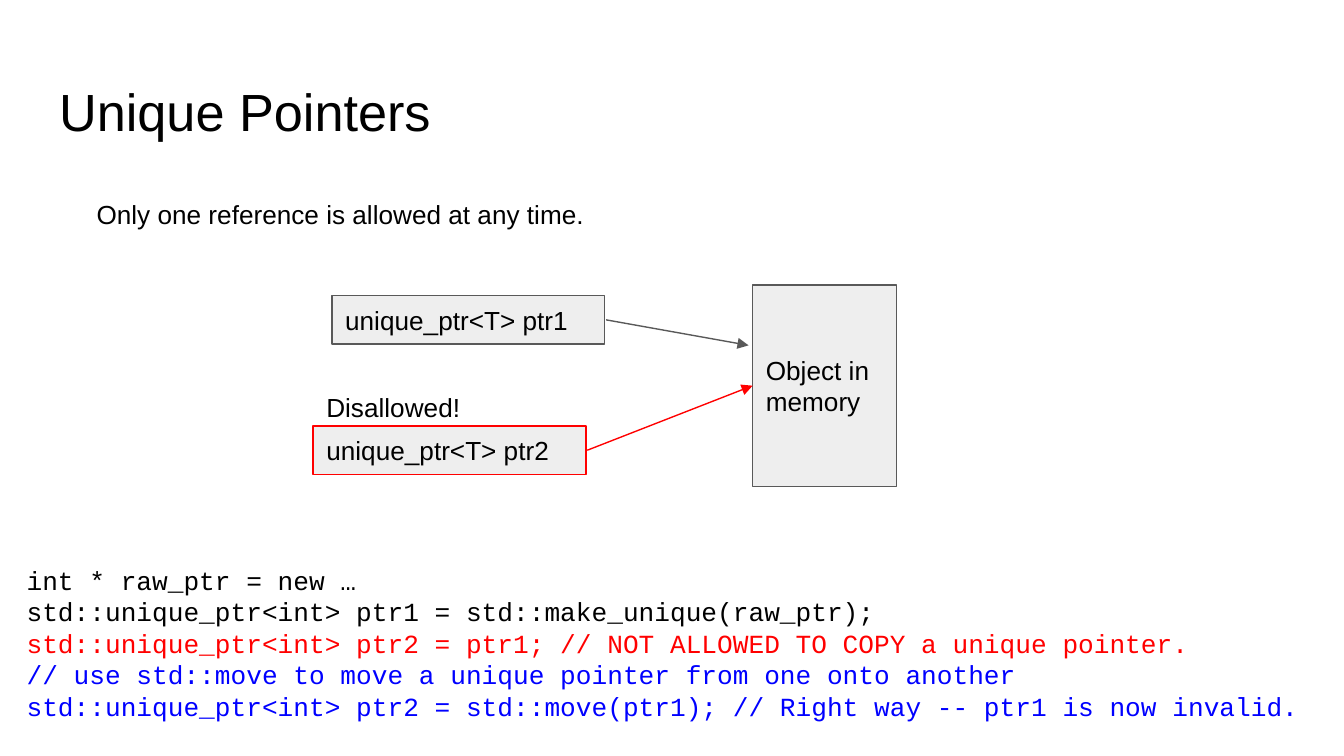
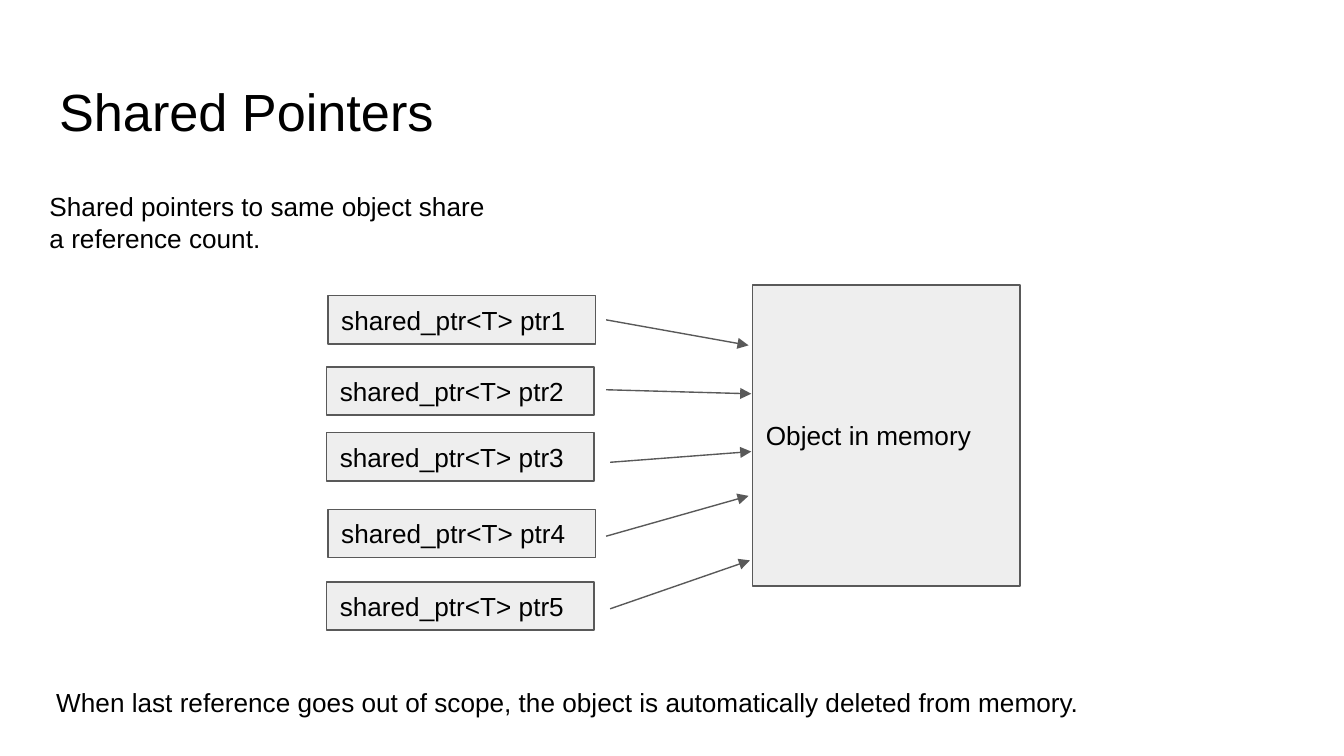
"""Build two slides that explain unique and shared pointers."""
from dataclasses import dataclass

from lxml import etree
from pptx import Presentation
from pptx.dml.color import RGBColor as RGB
from pptx.enum.shapes import MSO_CONNECTOR as CONN, MSO_SHAPE as SHAPE
from pptx.enum.text import MSO_ANCHOR as ANCHOR, PP_ALIGN as ALIGN
from pptx.oxml.ns import qn
from pptx.util import Inches, Pt


@dataclass(frozen=True)
class Theme:
    black: RGB = RGB(0, 0, 0)
    white: RGB = RGB(255, 255, 255)
    box: RGB = RGB(0xEE, 0xEE, 0xEE)
    gray: RGB = RGB(0x59, 0x59, 0x59)
    red: RGB = RGB(255, 0, 0)
    blue: RGB = RGB(0, 0, 255)
    sans: str = "Arial"
    mono: str = "Courier New"
    title: int = 28
    body: int = 14
    stroke: float = 0.75
    inset: float = 0.1


T = Theme()


def add_text(s, text, at, outline=None, font=T.sans, colors=(T.black,)):
    """Add a text box, or a filled rectangle when an outline colour is given."""
    at = [Inches(v) for v in at]
    if outline is None:
        sp = s.shapes.add_textbox(*at)
    else:
        sp = s.shapes.add_shape(SHAPE.RECTANGLE, *at)
        sp.shadow.inherit = False
        sp.fill.solid()
        sp.fill.fore_color.rgb = T.box
        sp.line.color.rgb = outline
        sp.line.width = Pt(T.stroke)
    tf = sp.text_frame
    tf.text = text
    tf.word_wrap = True
    tf.vertical_anchor = ANCHOR.TOP if outline is None else ANCHOR.MIDDLE
    tf.margin_left = tf.margin_right = tf.margin_top = tf.margin_bottom = Inches(T.inset)
    for i, p in enumerate(tf.paragraphs):
        p.alignment = ALIGN.LEFT
        for r in p.runs:
            r.font.name = font
            r.font.size = Pt(T.body)
            r.font.color.rgb = colors[i % len(colors)]


def add_arrow(s, x1, y1, x2, y2, color=T.gray):
    """Add a straight arrow that points at its second end."""
    c = s.shapes.add_connector(CONN.STRAIGHT, *[Inches(v) for v in (x1, y1, x2, y2)])
    c.line.color.rgb = color
    c.line.width = Pt(T.stroke)
    props = c._element.spPr
    etree.SubElement(props.find(qn("a:ln")), qn("a:tailEnd"), type="triangle")
    etree.SubElement(props, qn("a:effectLst"))


prs = Presentation()
prs.slide_width, prs.slide_height = Inches(10), Inches(10 * 9 / 16)

slides = []
for title in ("Unique Pointers", "Shared Pointers"):
    s = prs.slides.add_slide(prs.slide_layouts[5])
    s.background.fill.solid()
    s.background.fill.fore_color.rgb = T.white
    sp = s.shapes.title
    sp.left, sp.top, sp.width, sp.height = [Inches(v) for v in (0.34, 0.49, 9.32, 0.63)]
    tf = sp.text_frame
    tf.text = title
    tf.vertical_anchor = ANCHOR.TOP
    tf.margin_left = tf.margin_right = tf.margin_top = tf.margin_bottom = Inches(T.inset)
    p = tf.paragraphs[0]
    p.alignment = ALIGN.LEFT
    r = p.runs[0]
    r.font.name = T.sans
    r.font.size = Pt(T.title)
    r.font.color.rgb = T.black
    slides.append(s)

unique, shared = slides

add_text(unique, "Object in memory", (5.6, 2.12, 1.07, 1.5), T.gray)
add_text(unique, "unique_ptr<T> ptr1", (2.47, 2.2, 2.03, 0.36), T.gray)
add_arrow(unique, 4.51, 2.38, 5.57, 2.57)
add_text(unique, "Only one reference is allowed at any time.", (0.62, 1.38, 4.04, 0.47))
add_text(unique, "unique_ptr<T> ptr2", (2.33, 3.17, 2.03, 0.36), T.red)
add_arrow(unique, 4.37, 3.35, 5.6, 2.87, T.red)
add_text(unique, "Disallowed!", (2.33, 2.81, 4.04, 0.47))
code = (
    ("int * raw_ptr = new …", T.black),
    ("std::unique_ptr<int> ptr1 = std::make_unique(raw_ptr);", T.black),
    ("std::unique_ptr<int> ptr2 = ptr1; // NOT ALLOWED TO COPY a unique pointer.", T.red),
    ("// use std::move to move a unique pointer from one onto another", T.blue),
    ("std::unique_ptr<int> ptr2 = std::move(ptr1); // Right way -- ptr1 is now invalid.", T.blue),
)
lines, colors = zip(*code)
add_text(unique, "\n".join(lines), (0.1, 4.1, 9.77, 1.39), font=T.mono, colors=colors)

add_text(shared, "Object in memory", (5.6, 2.12, 1.99, 2.24), T.gray)
add_text(shared, "Shared pointers to same object share a reference count.", (0.27, 1.32, 3.57, 0.77))
pointers = (
    (2.44, 2.2, (4.51, 2.38, 5.57, 2.57)),
    (2.43, 2.73, (4.51, 2.9, 5.59, 2.93)),
    (2.43, 3.22, (4.54, 3.44, 5.59, 3.36)),
    (2.44, 3.79, (4.51, 3.99, 5.57, 3.69)),
    (2.43, 4.33, (4.54, 4.53, 5.58, 4.17)),
)
for n, (left, top, arrow) in enumerate(pointers, 1):
    add_text(shared, f"shared_ptr<T> ptr{n}", (left, top, 1.99, 0.36), T.gray)
    add_arrow(shared, *arrow)
add_text(
    shared,
    "When last reference goes out of scope, the object is automatically deleted from memory.",
    (0.32, 5.01, 8.53, 0.47),
)

prs.save("out.pptx")
